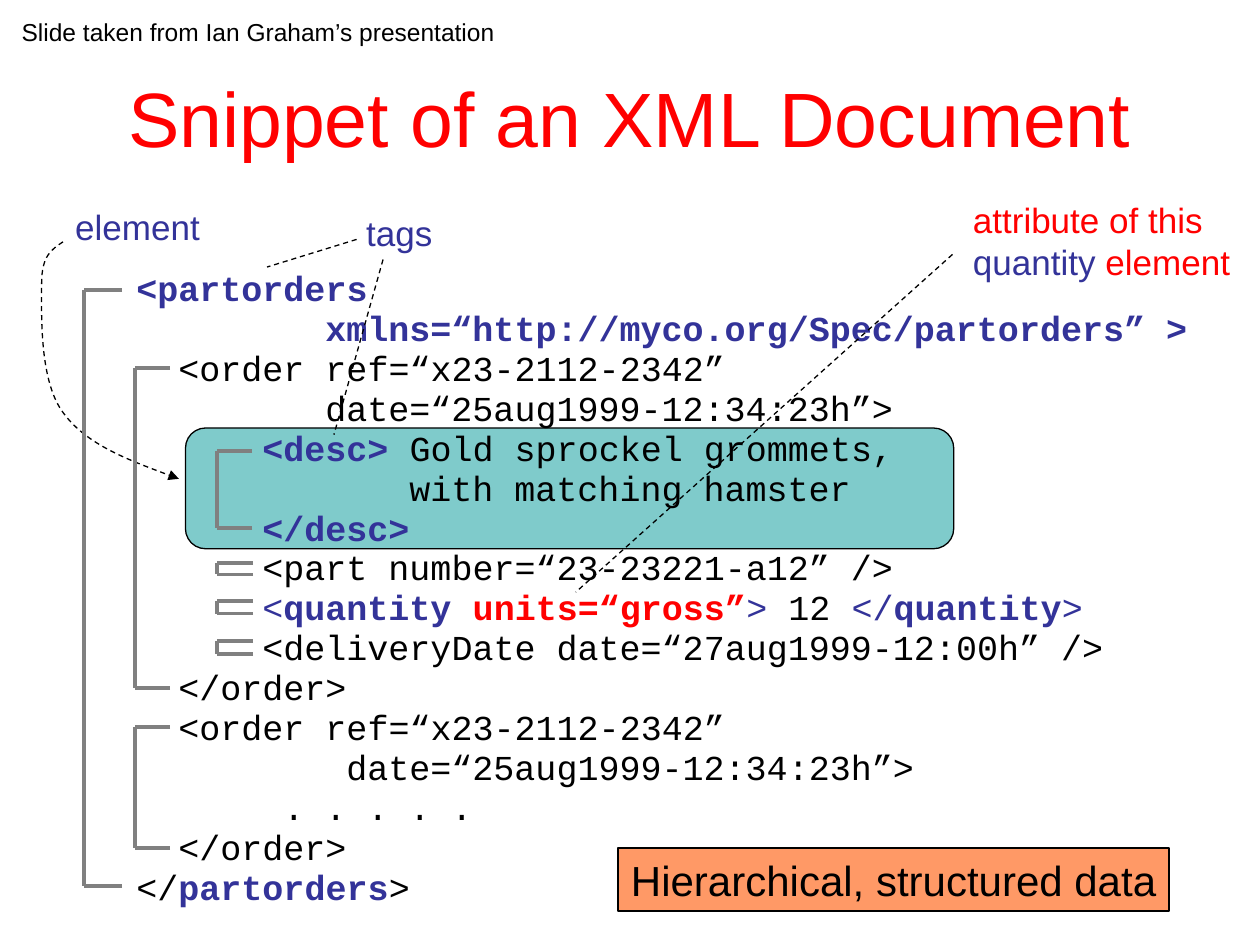
from pptx import Presentation
from pptx.dml.color import RGBColor
from pptx.enum.dml import MSO_LINE
from pptx.enum.shapes import MSO_CONNECTOR, MSO_SHAPE
from pptx.enum.text import MSO_ANCHOR, MSO_AUTO_SIZE, PP_ALIGN
from pptx.oxml.ns import qn
from pptx.util import Pt
from lxml.etree import SubElement

THEME = {
    "black": RGBColor(0x00, 0x00, 0x00),
    "blue": RGBColor(0x33, 0x33, 0x99),
    "red": RGBColor(0xFF, 0x00, 0x00),
    "grey": RGBColor(0x80, 0x80, 0x80),
    "teal": RGBColor(0x00, 0x99, 0x99),
    "orange": RGBColor(0xFF, 0x99, 0x66),
    "sans": "Arial",
    "mono": "Courier New",
    "title": Pt(44),
    "banner": Pt(24),
    "body": Pt(20),
    "note": Pt(14),
    "thin": Pt(0.75),
    "thick": Pt(2.25),
}
CHAR = 12


def write(sp, lines, size="body", font="sans", align=PP_ALIGN.LEFT,
          anchor=MSO_ANCHOR.MIDDLE, wrap=False, spacing=1.0):
    tf = sp.text_frame
    fit = MSO_AUTO_SIZE.NONE if wrap else MSO_AUTO_SIZE.SHAPE_TO_FIT_TEXT
    for name, value in {"word_wrap": wrap, "auto_size": fit, "vertical_anchor": anchor}.items():
        setattr(tf, name, value)
    for i, (indent, runs) in enumerate(lines):
        p = tf.paragraphs[0] if i == 0 else tf.add_paragraph()
        p.alignment = align
        p.line_spacing = spacing
        if indent:
            p._p.get_or_add_pPr().set("marL", str(Pt(indent * CHAR)))
        for text, color, bold in runs:
            r = p.add_run()
            r.text = text
            for name, value in {"size": THEME[size], "name": THEME[font], "bold": bold}.items():
                setattr(r.font, name, value)
            r.font.color.rgb = THEME[color]


def connect(x1, y1, x2, y2, color="grey", width="thick", dash=None):
    c = s.shapes.add_connector(MSO_CONNECTOR.STRAIGHT, Pt(x1), Pt(y1), Pt(x2), Pt(y2))
    c.line.color.rgb = THEME[color]
    c.line.width = THEME[width]
    c.line.dash_style = dash
    SubElement(c._element.spPr, qn("a:effectLst"))


prs = Presentation()
prs.slide_width, prs.slide_height = Pt(720), Pt(540)
s = prs.slides.add_slide(prs.slide_layouts[6])

title = s.shapes.add_textbox(Pt(36), Pt(21.6), Pt(648), Pt(90))
write(title, [(0, [("Snippet of an XML Document", "red", False)])],
      size="title", align=PP_ALIGN.CENTER, wrap=True)

highlight = s.shapes.add_shape(MSO_SHAPE.ROUNDED_RECTANGLE, Pt(106), Pt(244.6), Pt(439), Pt(69))
banner = s.shapes.add_shape(MSO_SHAPE.RECTANGLE, Pt(353.2), Pt(484.6), Pt(314.8), Pt(36))
for sp, fill in ((highlight, "teal"), (banner, "orange")):
    sp.shadow.inherit = False
    sp.fill.solid()
    sp.fill.fore_color.rgb = THEME[fill]
    sp.line.color.rgb = THEME["black"]
    sp.line.width = THEME["thin"]
tint = highlight._element.spPr.find(qn("a:solidFill")).find(qn("a:srgbClr"))
SubElement(tint, qn("a:alpha")).set("val", "50000")
write(banner, [(0, [("Hierarchical, structured data", "black", False)])],
      size="banner", align=PP_ALIGN.CENTER)

code = [
    (0, [("<partorders", "blue", True)]),
    (9, [("xmlns=“http://myco.org/Spec/partorders” >", "blue", True)]),
    (2, [("<order ref=“x23-2112-2342”", "black", False)]),
    (9, [("date=“25aug1999-12:34:23h”>", "black", False)]),
    (6, [("<desc>", "blue", True), (" Gold sprockel grommets,", "black", False)]),
    (13, [("with matching hamster", "black", False)]),
    (6, [("</desc>", "blue", True)]),
    (6, [("<part number=“23-23221-a12” />", "black", False)]),
    (6, [("<", "blue", False), ("quantity ", "blue", True), ("units=“gross”", "red", True),
         (">", "blue", False), (" 12 ", "black", False), ("</", "blue", False),
         ("quantity", "blue", True), (">", "blue", False)]),
    (6, [("<deliveryDate date=“27aug1999-12:00h” />", "black", False)]),
    (2, [("</order>", "black", False)]),
    (2, [("<order ref=“x23-2112-2342”", "black", False)]),
    (10, [("date=“25aug1999-12:34:23h”>", "black", False)]),
    (7, [(". . . . .", "black", False)]),
    (2, [("</order>", "black", False)]),
    (0, [("</", "black", False), ("partorders", "blue", True), (">", "black", False)]),
]
listing = s.shapes.add_textbox(Pt(70.8), Pt(150.5), Pt(615.6), Pt(372.2))
write(listing, code, font="mono", spacing=0.95)

labels = [
    (199.2, 117.4, 58, 31, PP_ALIGN.CENTER, [(0, [("tags", "blue", False)])]),
    (34.6, 113.8, 88, 31, PP_ALIGN.CENTER, [(0, [("element", "blue", False)])]),
    (548.9, 110.2, 163, 54.7, PP_ALIGN.LEFT,
     [(0, [("attribute of this", "red", False)]),
      (0, [("quantity", "blue", False), (" element", "red", False)])]),
]
for x, y, w, h, align, lines in labels:
    write(s.shapes.add_textbox(Pt(x), Pt(y), Pt(w), Pt(h)), lines, align=align)

note = s.shapes.add_textbox(Pt(5.3), Pt(6), Pt(285), Pt(24.5))
write(note, [(0, [("Slide taken from Ian Graham’s presentation", "black", False)])],
      size="note", anchor=MSO_ANCHOR.TOP)

for ends in ((203.8, 136.8, 152.6, 152.6), (218.9, 148.3, 190.8, 248.4),
             (544.3, 145.4, 329, 338.4)):
    connect(*ends, color="black", width="thin", dash=MSO_LINE.DASH)

curve = [(29.5, 142.6), (23.8, 146), (23.8, 162), (23.8, 178.6), (22.3, 216),
         (35.3, 234.7), (48.2, 253.4), (74.9, 263.5), (102.2, 273.6)]
points = [(Pt(x), Pt(y)) for x, y in [(36, 138.2)] + curve]
fb = s.shapes.build_freeform(*points[0])
fb.add_line_segments(points[1:], close=False)
arrow = fb.convert_to_shape()
arrow.shadow.inherit = False
arrow.fill.background()
arrow.line.color.rgb = THEME["black"]
arrow.line.width = THEME["thin"]
arrow.line.dash_style = MSO_LINE.DASH
SubElement(arrow.line._get_or_add_ln(), qn("a:tailEnd")).set("type", "triangle")
outline = next(arrow._element.iter(qn("a:path")))
segments = outline.findall(qn("a:lnTo"))
for i in range(0, len(segments), 3):
    bezier = SubElement(outline, qn("a:cubicBezTo"))
    for segment in segments[i:i + 3]:
        bezier.append(segment[0])
        outline.remove(segment)

brackets = [
    (48.2, 165.6, 506.2, 21.6),
    (77, 210.2, 393.1, 20.2),
    (77, 415.4, 484.6, 20.2),
    (123.8, 257.8, 301.7, 20.2),
    (123.8, 321.8, 328.3, 20.9),
    (123.8, 343.4, 350.6, 20.9),
    (123.8, 366.5, 373.7, 20.9),
]
for x, top, bottom, arm in brackets:
    connect(x, top, x, bottom)
    for y in (top, bottom):
        connect(x + arm, y, x, y)

prs.save("out.pptx")
